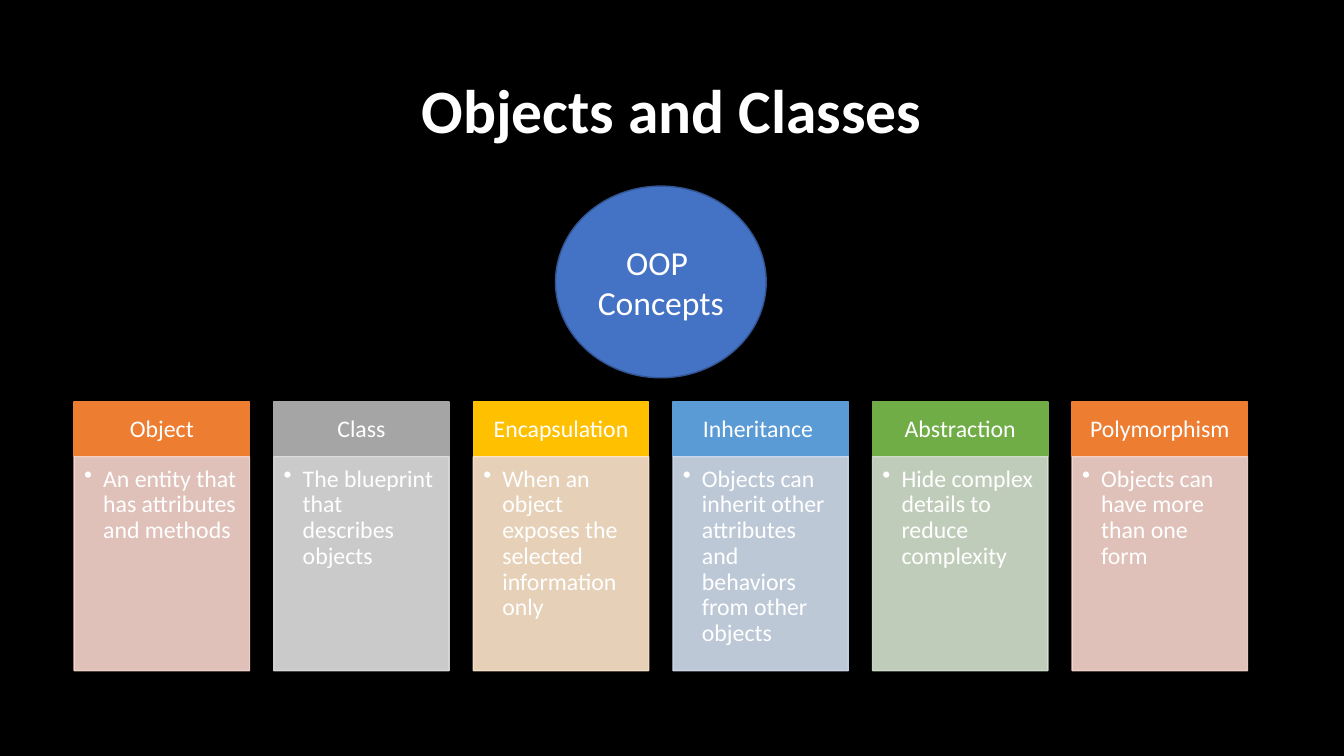
from dataclasses import dataclass

from pptx import Presentation
from pptx.dml.color import RGBColor
from pptx.enum.shapes import MSO_SHAPE as Preset
from pptx.enum.text import MSO_ANCHOR as Anchor, PP_ALIGN as Align
from pptx.oxml.ns import qn
from pptx.oxml.xmlchemy import OxmlElement
from pptx.shapes.autoshape import Shape
from pptx.slide import Slide
from pptx.text.text import TextFrame
from pptx.util import Cm, Pt


@dataclass(frozen=True)
class Theme:
    font: str = "Calibri"
    background: str = "000000"
    text: str = "FFFFFF"
    hub: str = "4472C4"
    hub_line: str = "325491"
    orange: str = "ED7D31"
    orange_tint: str = "F8D7CE"
    gray: str = "A5A5A5"
    gray_tint: str = "E1E1E1"
    gold: str = "FFC000"
    gold_tint: str = "FFE8CC"
    blue: str = "5B9BD5"
    blue_tint: str = "D2DEEF"
    green: str = "70AD47"
    green_tint: str = "D5E3CF"
    tint_opacity: int = 90
    title_size: int = 44
    hub_size: int = 24
    concept_size: int = 17


@dataclass(frozen=True)
class Box:
    left: float
    top: float
    width: float
    height: float

    def lengths(self) -> tuple[Cm, Cm, Cm, Cm]:
        return Cm(self.left), Cm(self.top), Cm(self.width), Cm(self.height)


@dataclass(frozen=True)
class Concept:
    name: str
    meaning: str
    color: str
    tint: str


THEME = Theme()
TITLE_BOX = Box(2.33, 1.01, 29.21, 3.68)
HUB_BOX = Box(14.0, 4.69, 5.31, 4.83)
FIRST_LEFT, COLUMN_PITCH, COLUMN_WIDTH = 1.87, 5.03, 4.42
HEADER_TOP, HEADER_HEIGHT, BODY_HEIGHT = 10.13, 1.38, 5.39
BULLET_INDENT = 0.48

CONCEPTS = [
    Concept("Object", "An entity that has attributes and methods",
            THEME.orange, THEME.orange_tint),
    Concept("Class", "The blueprint that describes objects",
            THEME.gray, THEME.gray_tint),
    Concept("Encapsulation", "When an object exposes the selected information only",
            THEME.gold, THEME.gold_tint),
    Concept("Inheritance ", "Objects can inherit other attributes and behaviors from other objects",
            THEME.blue, THEME.blue_tint),
    Concept("Abstraction", "Hide complex details to reduce complexity",
            THEME.green, THEME.green_tint),
    Concept("Polymorphism", "Objects can have more than one form",
            THEME.orange, THEME.orange_tint),
]


def write(frame: TextFrame, text: str, size: int, align: Align = Align.CENTER,
          anchor: Anchor = Anchor.MIDDLE, spacing: float = 0.9, bold: bool = False) -> None:
    frame.text = text
    frame.word_wrap = True
    frame.vertical_anchor = anchor
    paragraph = frame.paragraphs[0]
    paragraph.alignment = align
    paragraph.line_spacing = spacing
    for run in paragraph.runs:
        run.font.name = THEME.font
        run.font.size = Pt(size)
        run.font.bold = bold
        run.font.color.rgb = RGBColor.from_string(THEME.text)


def set_margins(frame: TextFrame, left: float, top: float, right: float, bottom: float) -> None:
    frame.margin_left, frame.margin_top = Cm(left), Cm(top)
    frame.margin_right, frame.margin_bottom = Cm(right), Cm(bottom)


def add_panel(slide: Slide, preset: Preset, box: Box, fill: str, line: str) -> Shape:
    panel = slide.shapes.add_shape(preset, *box.lengths())
    panel.shadow.inherit = False
    panel.fill.solid()
    panel.fill.fore_color.rgb = RGBColor.from_string(fill)
    panel.line.color.rgb = RGBColor.from_string(line)
    panel.line.width = Pt(1)
    return panel


def set_opacity(panel: Shape, percent: int) -> None:
    """Make both the fill and the line of the panel translucent."""
    for color in panel._element.spPr.iter(qn("a:srgbClr")):
        alpha = OxmlElement("a:alpha")
        alpha.set("val", str(percent * 1000))
        color.append(alpha)


def add_bullet(frame: TextFrame) -> None:
    properties = frame.paragraphs[0]._p.get_or_add_pPr()
    properties.set("marL", str(Cm(BULLET_INDENT)))
    properties.set("indent", str(-Cm(BULLET_INDENT)))
    bullet = OxmlElement("a:buChar")
    bullet.set("char", "•")
    properties.append(bullet)


def add_concept(slide: Slide, concept: Concept, left: float) -> None:
    header_box = Box(left, HEADER_TOP, COLUMN_WIDTH, HEADER_HEIGHT)
    header = add_panel(slide, Preset.RECTANGLE, header_box, concept.color, concept.color)
    set_margins(header.text_frame, 0.33, 0.2, 0.33, 0.2)
    write(header.text_frame, concept.name, THEME.concept_size)

    body_box = Box(left, HEADER_TOP + HEADER_HEIGHT, COLUMN_WIDTH, BODY_HEIGHT)
    body = add_panel(slide, Preset.RECTANGLE, body_box, concept.tint, concept.tint)
    set_opacity(body, THEME.tint_opacity)
    set_margins(body.text_frame, 0.25, 0.25, 0.33, 0.38)
    write(body.text_frame, concept.meaning, THEME.concept_size, Align.LEFT, Anchor.TOP)
    add_bullet(body.text_frame)


def main() -> None:
    deck = Presentation()
    deck.slide_width, deck.slide_height = Cm(33.87), Cm(19.05)
    slide = deck.slides.add_slide(deck.slide_layouts.get_by_name("Title Only"))
    slide.background.fill.solid()
    slide.background.fill.fore_color.rgb = RGBColor.from_string(THEME.background)

    title = slide.shapes.title
    title.left, title.top, title.width, title.height = TITLE_BOX.lengths()
    write(title.text_frame, "Objects and Classes", THEME.title_size, bold=True)

    hub = add_panel(slide, Preset.OVAL, HUB_BOX, THEME.hub, THEME.hub_line)
    write(hub.text_frame, "OOP \vConcepts", THEME.hub_size, spacing=1.0)

    for column, concept in enumerate(CONCEPTS):
        add_concept(slide, concept, FIRST_LEFT + column * COLUMN_PITCH)

    deck.save("out.pptx")


if __name__ == "__main__":
    main()
